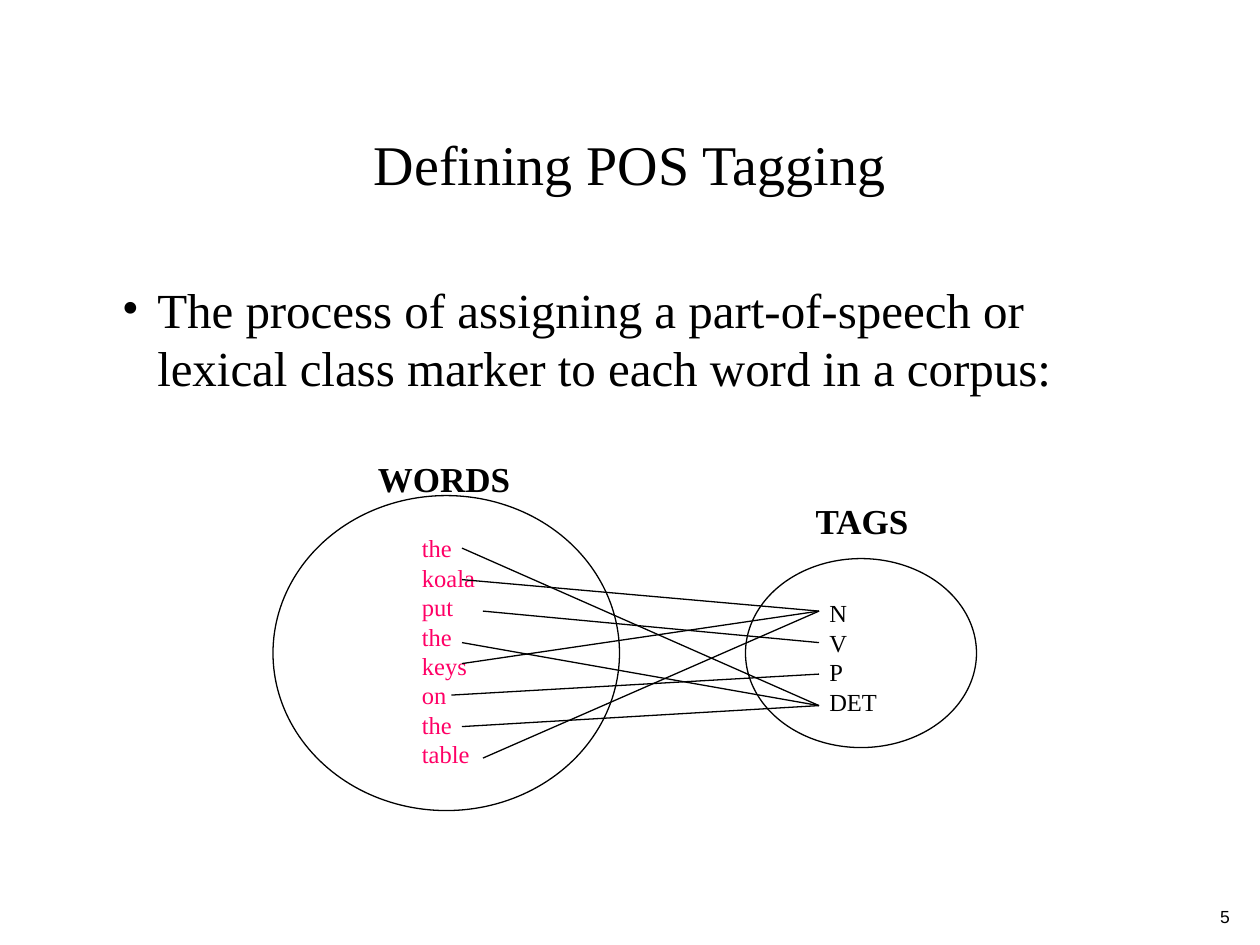
import pptx
import pptx.util
import pptx.dml.color
import pptx.enum.shapes
import pptx.enum.text
import pptx.oxml.ns
from lxml import etree

COLORS = {"ink": "000000", "word": "FF0066"}
SERIF, SANS = "Times New Roman", "Arial"
CELL = pptx.util.Inches(1) // 12  # the page is 120 columns by 90 rows
ALIGN = pptx.enum.text.PP_ALIGN
ANCHOR = pptx.enum.text.MSO_ANCHOR

# Each word: text, tag, column and row where its line starts
WORDS = [
    ("the", "DET", 18, 5),
    ("koala", "N", 18, 8),
    ("put", "V", 20, 11),
    ("the", "DET", 18, 14),
    ("keys", "N", 18, 16),
    ("on", "P", 17, 19),
    ("the", "DET", 18, 22),
    ("table", "N", 20, 25),
]
TAGS = ["N", "V", "P", "DET"]


def grid(*cells):
    return [round(n * CELL) for n in cells]


def tint(color):
    return pptx.dml.color.RGBColor.from_string(COLORS[color])


def write(shapes, box, lines, size, color="ink", font=SERIF, bold=False,
          align=ALIGN.LEFT, anchor=ANCHOR.TOP, wrap=True):
    frame = shapes.add_textbox(*grid(*box)).text_frame
    frame.word_wrap = wrap
    frame.vertical_anchor = anchor
    if not wrap:
        frame.auto_size = pptx.enum.text.MSO_AUTO_SIZE.SHAPE_TO_FIT_TEXT
    frame.text = "\n".join(lines)
    for para in frame.paragraphs:
        para.alignment = align
        para.font.name = font
        para.font.size = pptx.util.Pt(size)
        para.font.bold = bold
        para.font.color.rgb = tint(color)
    return frame


def stroke(line):
    line.color.rgb = tint("ink")
    line.width = pptx.util.Pt(0.75)


def oval(shapes, box):
    shape = shapes.add_shape(pptx.enum.shapes.MSO_SHAPE.OVAL, *grid(*box))
    shape.shadow.inherit = False
    shape.fill.background()
    stroke(shape.line)


def link(shapes, start, end):
    line = shapes.add_connector(
        pptx.enum.shapes.MSO_CONNECTOR.STRAIGHT, *grid(*start, *end))
    etree.SubElement(line._element.spPr, pptx.oxml.ns.qn("a:effectLst"))
    stroke(line.line)


def title(slide, box):
    write(slide.shapes, box, ["Defining POS Tagging"], 32,
          align=ALIGN.CENTER, anchor=ANCHOR.MIDDLE)


def body(slide, box):
    text = ("The process of assigning a part-of-speech or "
            "lexical class marker to each word in a corpus:")
    para = write(slide.shapes, box, [text], 28).paragraphs[0]
    para.space_before = pptx.util.Pt(5.6)
    # Bullet with a hanging indent; its tags go before the font defaults
    props = para._p.get_or_add_pPr()
    props.set("marL", str(pptx.util.Inches(0.4)))
    props.set("indent", str(pptx.util.Inches(-0.28)))
    fonts = props.find(pptx.oxml.ns.qn("a:defRPr"))
    for tag, key, value in (("a:buFont", "typeface", SERIF),
                            ("a:buChar", "char", "•")):
        mark = etree.Element(pptx.oxml.ns.qn(tag))
        mark.set(key, value)
        fonts.addprevious(mark)


def diagram(slide, left, top):
    shapes = slide.shapes.add_group_shape().shapes

    def at(col, row, *size):
        return (left + col, top + row, *size)

    # Word set
    write(shapes, at(13, 3, 8, 23.5), [word[0] for word in WORDS], 14,
          "word", wrap=False)
    oval(shapes, at(0, 0, 33, 30))
    write(shapes, at(8.8, -4.2, 15, 5.2), ["WORDS"], 20, bold=True, wrap=False)

    # Tag set
    oval(shapes, at(45, 6, 22, 18))
    write(shapes, at(50.5, -0.2, 11.5, 5.2), ["TAGS"], 20, bold=True, wrap=False)
    write(shapes, at(51.8, 9.2, 7.2, 12.4), TAGS, 14, wrap=False)

    # Lines from words to tags
    for _, tag, col, row in WORDS:
        link(shapes, at(col, row), at(52, 11 + 3 * TAGS.index(tag)))


def number(slide, box):
    write(slide.shapes, box, ["5"], 10, font=SANS,
          align=ALIGN.RIGHT, anchor=ANCHOR.BOTTOM)


def main():
    deck = pptx.Presentation()
    deck.slide_width, deck.slide_height = grid(120, 90)
    slide = deck.slides.add_slide(deck.slide_layouts[6])
    title(slide, (9, 8, 102, 15))
    body(slide, (9, 26, 102, 54))
    number(slide, (113.5, 84.1, 4.8, 4.8))
    diagram(slide, 26, 47.2)
    deck.save("out.pptx")


if __name__ == "__main__":
    main()
